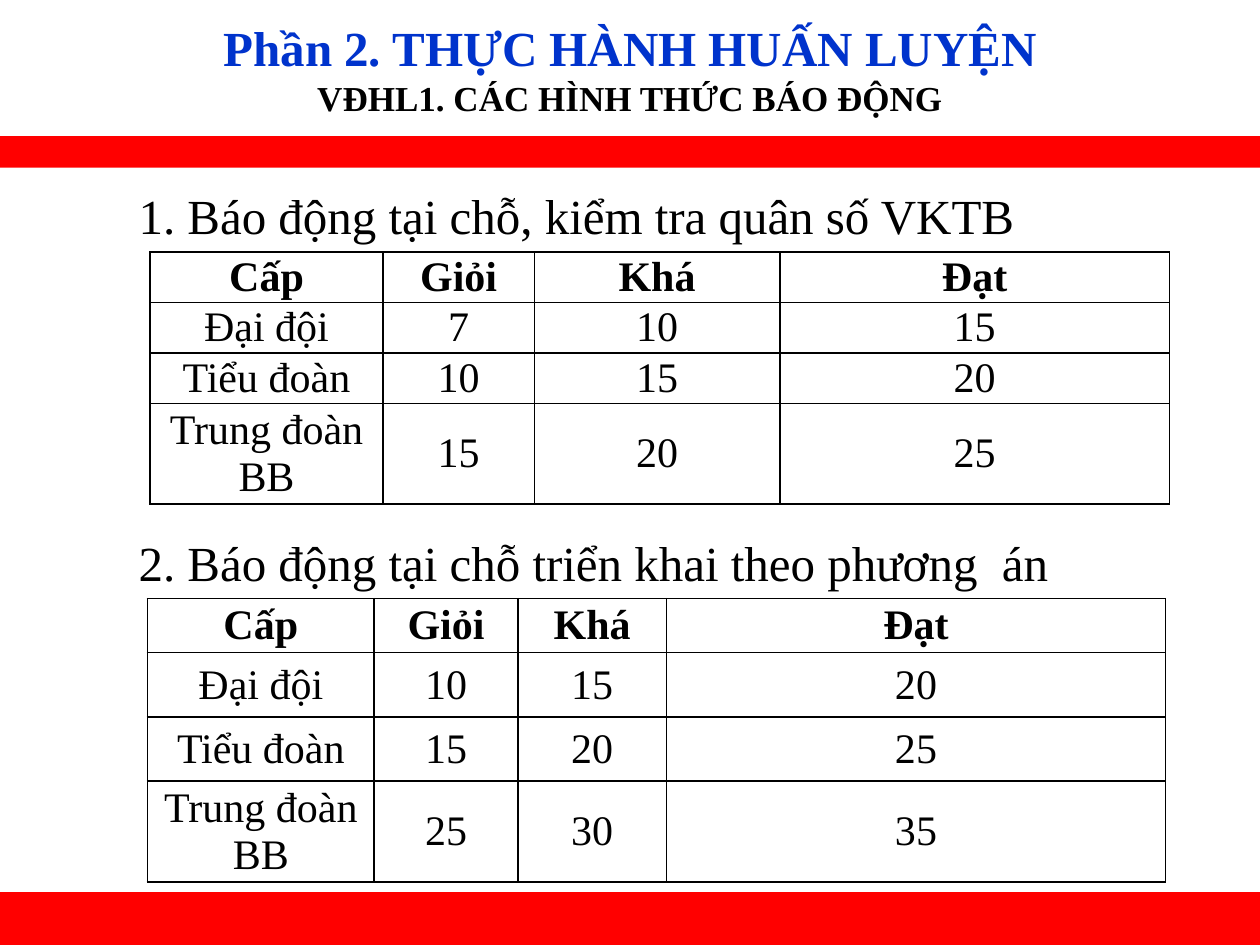
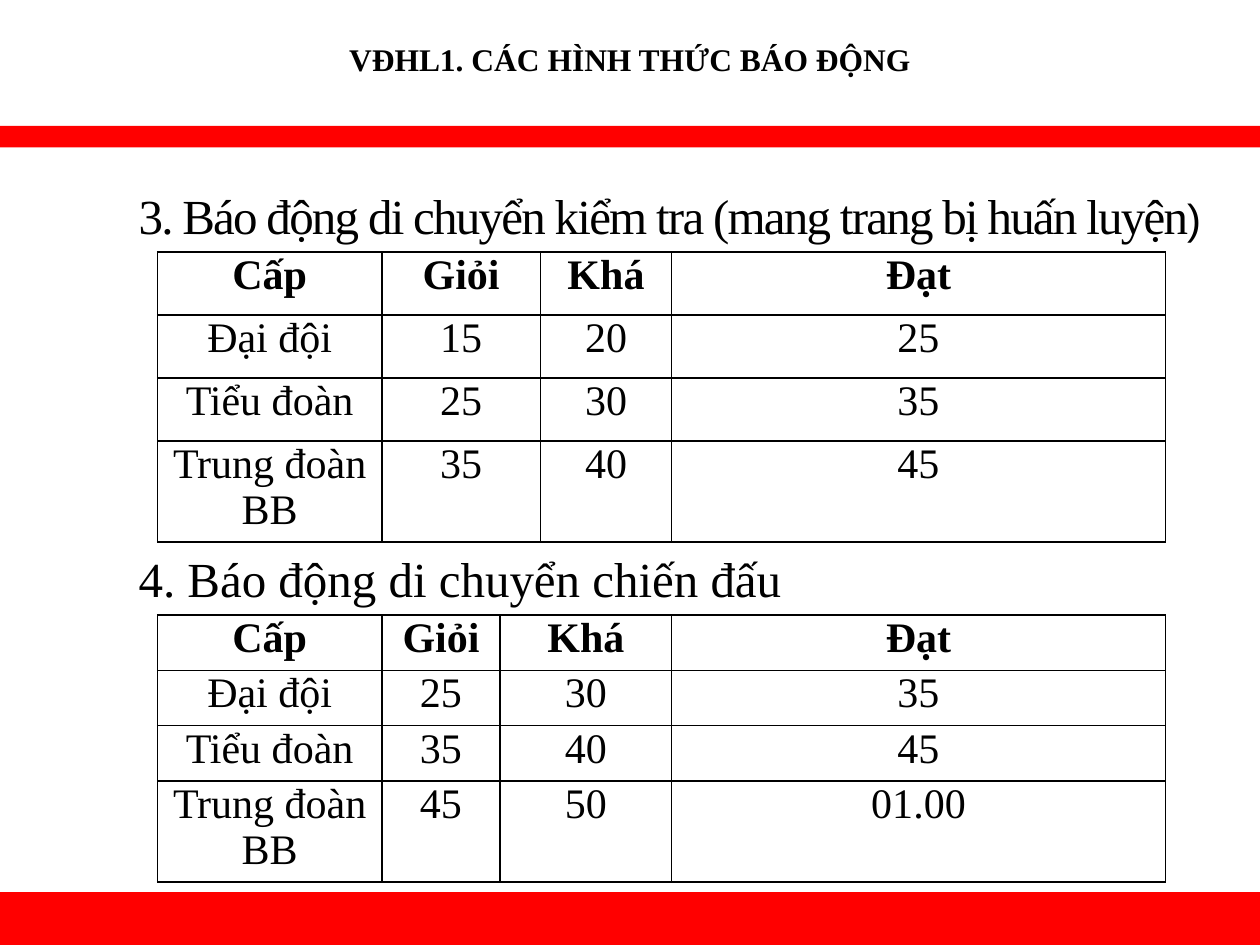
from lxml import etree
from pptx import Presentation
from pptx import util as u
from pptx.dml import color
from pptx.enum import shapes, text
from pptx.oxml import ns

SERIF = "Times New Roman"
BLACK, BLUE, RED = "000000", "0033CC", "FF0000"
TOPIC = "VĐHL1. CÁC HÌNH THỨC BÁO ĐỘNG"
HEADER = ["Cấp", "Giỏi", "Khá", "Đạt"]
UNITS = ["Đại đội", "Tiểu đoàn", "Trung đoàn BB"]


def rgb(value):
    """Return the colour for a hex string."""
    return color.RGBColor.from_string(value)


def add_run(p, txt, size=24, font=SERIF, fill=BLACK, bold=False, spacing=0):
    """Append formatted text to a paragraph."""
    r = p.add_run()
    r.text = txt
    r.font.size, r.font.name, r.font.bold = u.Pt(size), font, bold
    r.font.color.rgb = rgb(fill)
    if spacing:
        r._r.get_or_add_rPr().set("spc", str(spacing * 100))


class Deck:
    """Hold the shared style and the current slide."""

    def __init__(self):
        """Start a 10 by 7.5 inch presentation."""
        self.prs = Presentation()
        self.prs.slide_width, self.prs.slide_height = u.Inches(10), u.Inches(7.5)

    def slide(self, band_top, band_height):
        """Add a slide with its header and footer bands."""
        self.s = self.prs.slides.add_slide(self.prs.slide_layouts[6])
        self.band(band_top, band_height)
        self.band(7.08, 0.42)

    def band(self, top, height):
        """Draw a full-width red band."""
        sp = self.s.shapes.add_shape(
            shapes.MSO_SHAPE.RECTANGLE, 0, u.Inches(top), u.Inches(10), u.Inches(height))
        sp.shadow.inherit = False
        sp.fill.solid()
        sp.fill.fore_color.rgb = rgb(RED)
        sp.line.fill.background()

    def box(self, left, top, width, height):
        """Add a wrapping text box and return its frame."""
        sp = self.s.shapes.add_textbox(*map(u.Inches, (left, top, width, height)))
        sp.text_frame.word_wrap = True
        return sp.text_frame

    def title(self, at, *lines):
        """Write centred bold lines given as text, size and colour."""
        tf = self.box(*at)
        tf.vertical_anchor = text.MSO_ANCHOR.MIDDLE
        for i, (txt, size, fill) in enumerate(lines):
            p = tf.add_paragraph() if i else tf.paragraphs[0]
            p.alignment = text.PP_ALIGN.CENTER
            add_run(p, txt, size=size, fill=fill, bold=True)

    def headings(self, first, second, height, gap, spacing=0, tail=""):
        """Write the two section headings, gap points apart."""
        tf = self.box(0, 1.42, 10, height)
        tf.margin_left, tf.margin_right = u.Inches(1.1), 0
        p = tf.paragraphs[0]
        add_run(p, first, size=28, spacing=spacing)
        if tail:
            add_run(p, tail, font="Arial", spacing=spacing)
        p = tf.add_paragraph()
        p.space_before = u.Pt(gap)
        add_run(p, second, size=28)

    def table(self, left, top, widths, heights, times, anchor=text.MSO_ANCHOR.TOP):
        """Build a table of alarm times for each unit and grade."""
        rows = [HEADER] + [[unit, *row] for unit, row in zip(UNITS, times)]
        frame = self.s.shapes.add_table(
            len(rows), len(HEADER),
            *map(u.Inches, (left, top, sum(widths), sum(heights))))
        tbl = frame.table
        tbl.first_row = tbl.horz_banding = False
        for col, width in zip(tbl.columns, widths):
            col.width = u.Inches(width)
        for i, (row, height) in enumerate(zip(rows, heights)):
            tbl.rows[i].height = u.Inches(height)
            for j, value in enumerate(row):
                self.cell(tbl.cell(i, j), str(value), anchor, bold=i == 0)

    def cell(self, cell, value, anchor, bold):
        """Fill one bordered table cell."""
        cell.margin_left = cell.margin_right = u.Inches(0.07)
        cell.margin_top = cell.margin_bottom = 0
        cell.vertical_anchor = anchor
        tc_pr = cell._tc.get_or_add_tcPr()
        for side in ("lnL", "lnR", "lnT", "lnB"):
            ln = etree.SubElement(tc_pr, ns.qn("a:" + side), w=str(u.Pt(1)))
            fill = etree.SubElement(ln, ns.qn("a:solidFill"))
            etree.SubElement(fill, ns.qn("a:srgbClr"), val=BLACK)
        cell.fill.background()
        p = cell.text_frame.paragraphs[0]
        p.alignment = text.PP_ALIGN.CENTER
        add_run(p, value, bold=bold)


def main():
    """Build and save both slides."""
    deck = Deck()
    middle = text.MSO_ANCHOR.MIDDLE

    deck.slide(1.08, 0.25)
    deck.title((0, 0, 10, 1.08),
               ("Phần 2. THỰC HÀNH HUẤN LUYỆN", 28, BLUE), (TOPIC, 20, BLACK))
    deck.headings("1. Báo động tại chỗ, kiểm tra quân số VKTB",
                  "2. Báo động tại chỗ triển khai theo phương  án", 5.58, 165)
    deck.table(1.19, 2, [1.85, 1.2, 1.95, 3.09], [0.37] * 3 + [0.74],
               [(7, 10, 15), (10, 15, 20), (15, 20, 25)], middle)
    deck.table(1.17, 4.75, [1.8, 1.14, 1.18, 3.96], [0.43, 0.51, 0.51, 0.8],
               [(10, 15, 20), (15, 20, 25), (25, 30, 35)], middle)

    deck.slide(1, 0.17)
    deck.title((2.65, 0.27, 4.7, 0.4), (TOPIC, 18, BLACK))
    deck.headings("3. Báo động di chuyển kiểm tra (mang trang bị huấn luyện",
                  "4. Báo động di chuyển chiến đấu", 5.83, 174, spacing=-1, tail=")")
    deck.table(1.25, 2, [1.78, 1.26, 1.04, 3.92], [0.5] * 3 + [0.8],
               [(15, 20, 25), (25, 30, 35), (35, 40, 45)])
    deck.table(1.25, 4.88, [1.78, 0.94, 1.36, 3.92], [0.44] * 3 + [0.8],
               [(25, 30, 35), (35, 40, 45), (45, 50, "01.00")])

    deck.prs.save("out.pptx")


if __name__ == "__main__":
    main()
